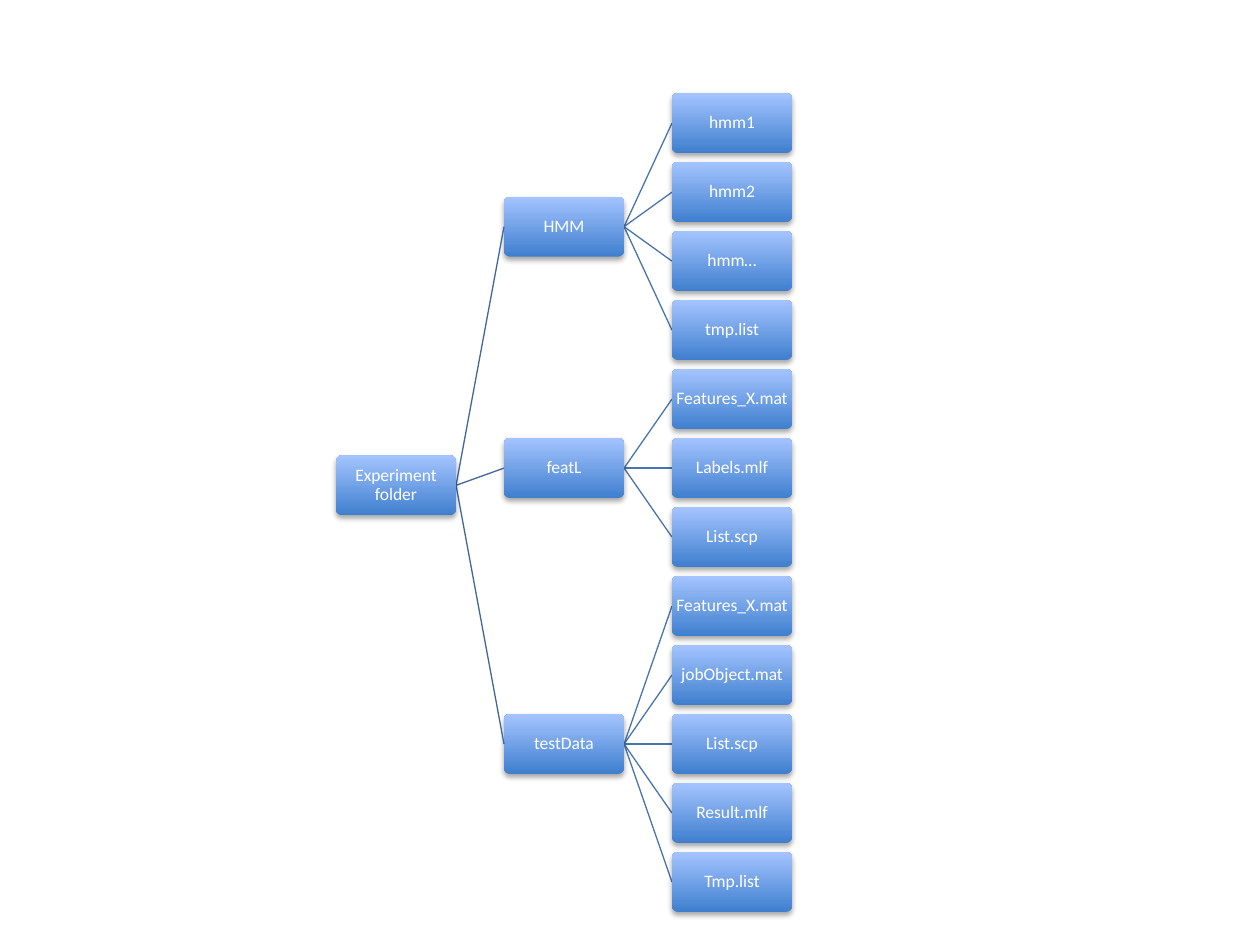
from lxml import etree
from pptx import Presentation
from pptx.dml.color import RGBColor
from pptx.enum import shapes, text
from pptx.oxml import ns
from pptx.util import Pt

DARK = RGBColor(0x3F, 0x7F, 0xCE)
LIGHT = RGBColor(0xA4, 0xC4, 0xFF)
TRUNK = RGBColor(0x3F, 0x67, 0x97)
TWIG = RGBColor(0x48, 0x75, 0xAC)
WHITE = RGBColor(0xFF, 0xFF, 0xFF)

WIDE, HIGH = 68.6, 34.3
COLS = (192, 288, 384)
FIRST, STEP = 70.4, 39.42

ROOT = "Experiment folder"
TREE = {
    "HMM": ["hmm1", "hmm2", "hmm…", "tmp.list"],
    "featL": ["Features_X.mat", "Labels.mlf", "List.scp"],
    "testData": ["Features_X.mat", "jobObject.mat", "List.scp",
                 "Result.mlf", "Tmp.list"],
}


def add_node(tag, parent, **attrs):
    return etree.SubElement(parent, ns.qn(tag), **attrs)


def add_shadow(shape):
    shape.shadow.inherit = False
    effects = shape.element.spPr.find(ns.qn("a:effectLst"))
    outer = add_node("a:outerShdw", effects, blurRad=str(Pt(3.1)),
                     dist=str(Pt(1.8)), dir="5400000", rotWithShape="0")
    color = add_node("a:srgbClr", outer, val="000000")
    add_node("a:alpha", color, val="35000")


def set_text(shape, words, size=10, font="Calibri", color=WHITE, inset=0.63):
    frame = shape.text_frame
    frame.word_wrap = True
    frame.vertical_anchor = text.MSO_ANCHOR.MIDDLE
    frame.margin_left = frame.margin_right = Pt(inset)
    frame.margin_top = frame.margin_bottom = Pt(inset)
    para = frame.paragraphs[0]
    para.alignment = text.PP_ALIGN.CENTER
    para.line_spacing = 0.9
    run = para.add_run()
    run.text = words
    run.font.size = Pt(size)
    run.font.name = font
    run.font.color.rgb = color


def add_box(slide, words, level, mid):
    box = slide.shapes.add_shape(
        shapes.MSO_SHAPE.ROUNDED_RECTANGLE, Pt(COLS[level]),
        Pt(mid - HIGH / 2), Pt(WIDE), Pt(HIGH))
    box.adjustments[0] = 0.1
    box.fill.gradient()
    box.fill.gradient_angle = 90
    for stop, color in zip(box.fill.gradient_stops, (DARK, LIGHT)):
        stop.color.rgb = color
    box.line.fill.background()
    add_shadow(box)
    set_text(box, words)


def add_link(slide, level, start, end, color):
    link = slide.shapes.add_connector(
        shapes.MSO_CONNECTOR.STRAIGHT, Pt(COLS[level] + WIDE), Pt(start),
        Pt(COLS[level + 1]), Pt(end))
    link.line.color.rgb = color
    link.line.width = Pt(0.75)
    add_node("a:effectLst", link.element.spPr)


def add_branch(slide, name, files, mids):
    mid = (mids[0] + mids[-1]) / 2
    for file, end in zip(files, mids):
        add_link(slide, 1, mid, end, TWIG)
        add_box(slide, file, 2, end)
    add_box(slide, name, 1, mid)
    return mid


def main():
    deck = Presentation()
    deck.slide_width, deck.slide_height = Pt(720), Pt(540)
    slide = deck.slides.add_slide(deck.slide_layouts[6])
    heads, row = [], 0
    for name, files in TREE.items():
        mids = [FIRST + STEP * (row + i) for i in range(len(files))]
        heads.append(add_branch(slide, name, files, mids))
        row += len(files)
    center = (heads[0] + heads[-1]) / 2
    for head in heads:
        add_link(slide, 0, center, head, TRUNK)
    add_box(slide, ROOT, 0, center)
    deck.save("out.pptx")


main()
